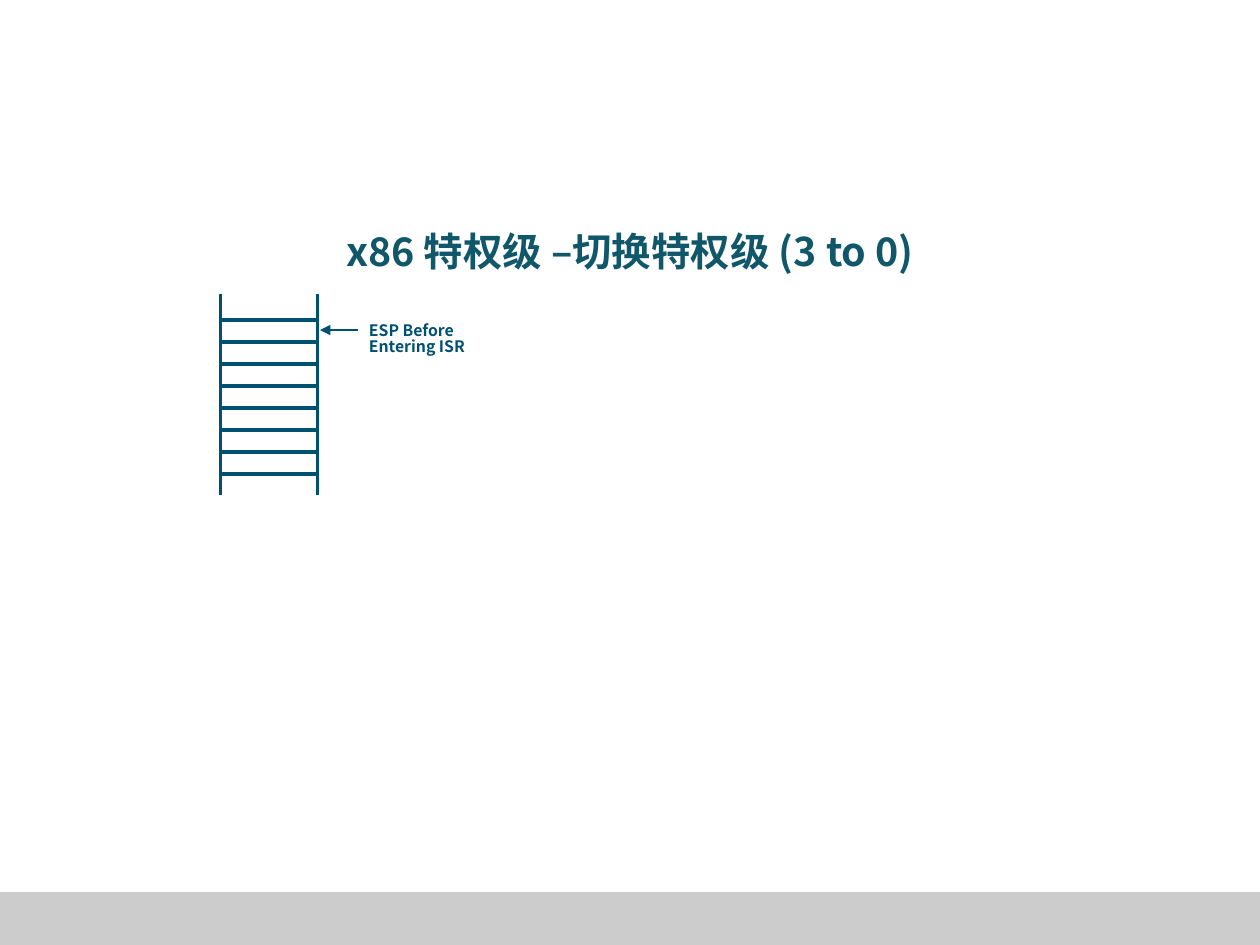
"""Build the slide on the x86 privilege switch from ring 3 to ring 0."""
from lxml.etree import SubElement
from pptx import Presentation
from pptx.dml.color import RGBColor
from pptx.enum.shapes import MSO_CONNECTOR, MSO_SHAPE
from pptx.enum.text import PP_ALIGN
from pptx.oxml.ns import qn
from pptx.util import Inches, Pt

TITLE = ["x86 特权级 –切换特权级 (3 to 0)"]
POINTER_LABEL = ["ESP Before", "Entering ISR"]

FONT = "Noto Sans CJK SC"
LINE_SPACING = 0.83
TITLE_COLOR = RGBColor(0x11, 0x57, 0x6A)
STACK_COLOR = RGBColor(0x00, 0x50, 0x72)
FOOTER_COLOR = RGBColor(0xCC, 0xCC, 0xCC)

WIDTH, HEIGHT = 10, 7.5
FOOTER_HEIGHT = 0.42
STACK_LEFT, STACK_RIGHT = 1.75, 2.52
STACK_TOP, STACK_BOTTOM = 2.33, 3.93
FIRST_RUNG, RUNG_GAP, RUNG_COUNT = 2.54, 0.175, 8
POINTER_Y = 2.62


def add_text(slide, lines, box, size, color, alignment=PP_ALIGN.LEFT, wrap=True):
    text_frame = slide.shapes.add_textbox(*map(Inches, box)).text_frame
    text_frame.word_wrap = wrap
    text_frame.text = "\n".join(lines)
    for paragraph in text_frame.paragraphs:
        paragraph.alignment = alignment
        paragraph.line_spacing = LINE_SPACING
        for run in paragraph.runs:
            run.font.name = FONT
            run.font.size = Pt(size)
            run.font.bold = True
            run.font.color.rgb = color
            SubElement(run.font._element, qn("a:ea"), typeface=FONT)


def add_line(slide, start, end, width=2.25, arrow=False):
    connector = slide.shapes.add_connector(
        MSO_CONNECTOR.STRAIGHT, *map(Inches, start + end))
    connector.line.color.rgb = STACK_COLOR
    connector.line.width = Pt(width)
    if arrow:
        SubElement(connector.line._get_or_add_ln(), qn("a:tailEnd"), type="triangle")
    SubElement(connector._element.spPr, qn("a:effectLst"))


def main():
    presentation = Presentation()
    presentation.slide_width, presentation.slide_height = Inches(WIDTH), Inches(HEIGHT)
    slide = presentation.slides.add_slide(presentation.slide_layouts[6])

    footer = slide.shapes.add_shape(
        MSO_SHAPE.RECTANGLE, 0, Inches(HEIGHT - FOOTER_HEIGHT),
        Inches(WIDTH), Inches(FOOTER_HEIGHT))
    footer.shadow.inherit = False
    footer.fill.solid()
    footer.fill.fore_color.rgb = FOOTER_COLOR
    footer.line.fill.background()

    add_text(slide, TITLE, (WIDTH / 8, 1.82, WIDTH * 3 / 4, 0.48), 22.5,
             TITLE_COLOR, PP_ALIGN.CENTER)
    add_text(slide, POINTER_LABEL, (2.83, 2.52, 0.98, 0.4), 9, STACK_COLOR, wrap=False)
    add_line(slide, (2.84, POINTER_Y), (2.54, POINTER_Y), 1.5, arrow=True)

    for x in (STACK_LEFT, STACK_RIGHT):
        add_line(slide, (x, STACK_TOP), (x, STACK_BOTTOM))
    for rung in range(RUNG_COUNT):
        y = FIRST_RUNG + rung * RUNG_GAP
        add_line(slide, (STACK_LEFT, y), (STACK_RIGHT, y))

    presentation.save("out.pptx")


if __name__ == "__main__":
    main()
